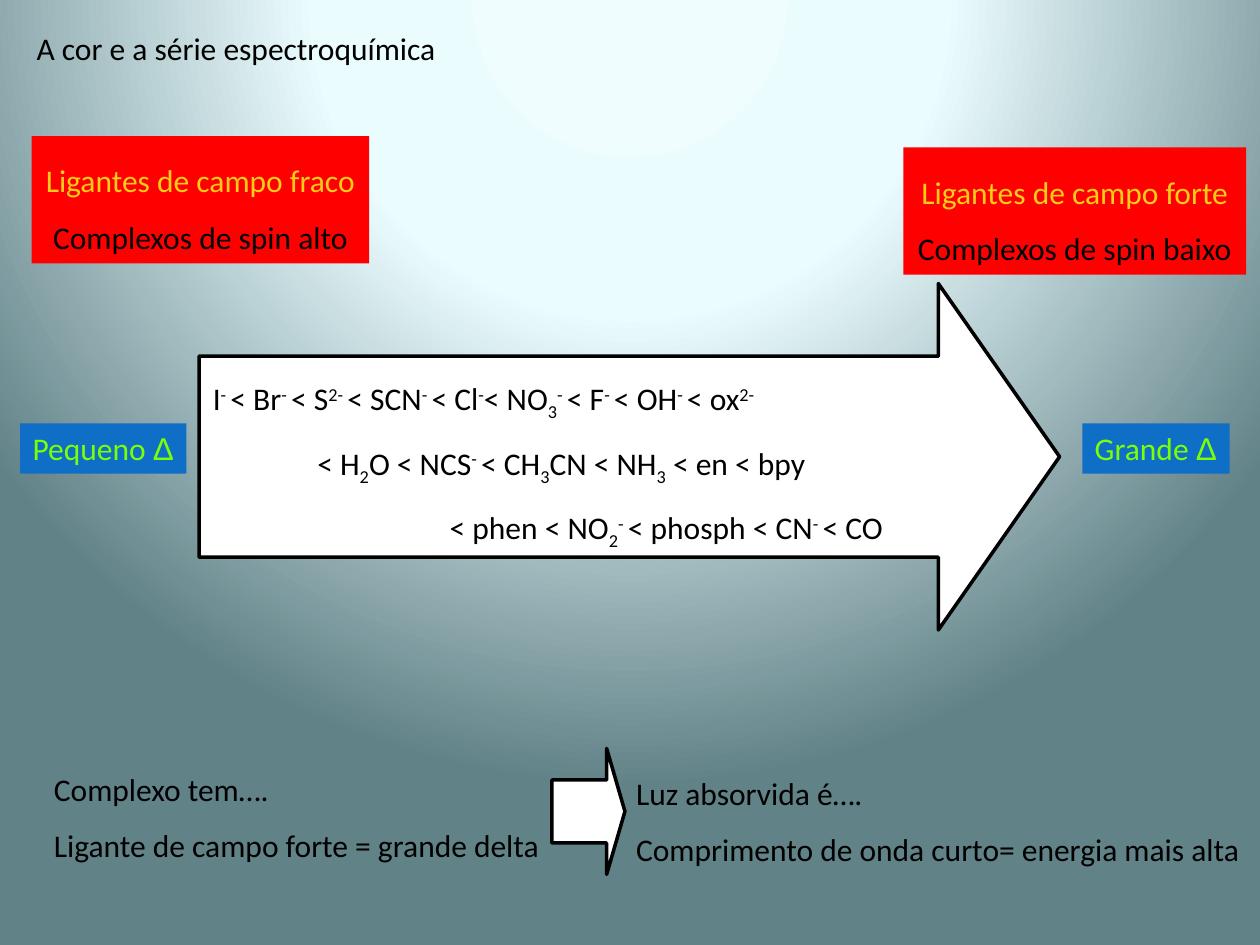
from lxml import etree
from pptx import Presentation
from pptx.dml.color import RGBColor
from pptx.enum.shapes import MSO_SHAPE as Shape
from pptx.enum.text import MSO_ANCHOR as Anchor, MSO_AUTO_SIZE as AutoSize, PP_ALIGN as Align
from pptx.oxml import parse_xml
from pptx.util import Inches, Pt

DRAWING = "http://schemas.openxmlformats.org/drawingml/2006/main"
COLUMNS, ROWS = 100, 75
BASELINES = {"^": "30000", "_": "-25000"}

BLACK, WHITE, RED, BLUE = "000000", "FFFFFF", "FF0000", "0F6FC6"
YELLOW, GREEN = "FFCC18", "7BFF07"

SERIES = [
    (0, "I|^- |< Br|^- |< S|^2- |< SCN|^- |< Cl|^-|< NO|_3|^- |< F|^- |< OH|^- |< ox|^2-"),
    (8.3, "< H|_2|O < NCS|^- |< CH|_3|CN < NH|_3| < en < bpy"),
    (18.8, "< phen < NO|_2|^- |< phosph < CN|^- |< CO"),
]


def color(value):
    return RGBColor.from_string(value)


class SlideBuilder:
    font, size = "Calibri", 18

    def __init__(self, deck):
        self.deck = deck
        self.slide = deck.slides.add_slide(deck.slide_layouts[5])

    def across(self, columns):
        return round(self.deck.slide_width * columns / COLUMNS)

    def down(self, rows):
        return round(self.deck.slide_height * rows / ROWS)

    def place(self, left, top, width, height):
        return self.across(left), self.down(top), self.across(width), self.down(height)

    def background(self, stops):
        fill = self.slide.background.fill
        fill.solid()
        solid = self.slide.element.find(f".//{{{DRAWING}}}solidFill")
        gradient = parse_xml(
            f'<a:gradFill xmlns:a="{DRAWING}" rotWithShape="1"><a:gsLst/>'
            '<a:path path="circle"><a:fillToRect l="50000" t="-80000" r="50000" b="180000"/>'
            "</a:path></a:gradFill>"
        )
        for position, value in stops:
            stop = etree.SubElement(gradient[0], f"{{{DRAWING}}}gs", pos=str(position * 1000))
            etree.SubElement(stop, f"{{{DRAWING}}}srgbClr", val=value)
        solid.getparent().replace(solid, gradient)

    def frame(self, box, wrap=False):
        frame = box.text_frame
        frame.word_wrap = wrap
        frame.auto_size = AutoSize.SHAPE_TO_FIT_TEXT
        frame.vertical_anchor = Anchor.TOP
        return frame

    def paragraph(self, frame, value, spacing=1.0, align=Align.LEFT):
        para = frame.paragraphs[0]
        if para.runs:
            para = frame.add_paragraph()
        para.alignment = align
        para.line_spacing = spacing
        para.font.name = self.font
        para.font.size = Pt(self.size)
        para.font.color.rgb = color(value)
        return para

    def title(self, area, text):
        box = self.slide.shapes.title
        box.left, box.top, box.width, box.height = self.place(*area)
        self.paragraph(self.frame(box), BLACK).add_run().text = text

    def lines(self, area, texts):
        frame = self.frame(self.slide.shapes.add_textbox(*self.place(*area)))
        for text in texts:
            self.paragraph(frame, BLACK, 1.5).add_run().text = text

    def shape(self, kind, area, fill):
        box = self.slide.shapes.add_shape(kind, *self.place(*area))
        box.shadow.inherit = False
        box.fill.solid()
        box.fill.fore_color.rgb = color(fill)
        box.line.fill.background()
        return box

    def arrow(self, area, shaft, head):
        box = self.shape(Shape.RIGHT_ARROW, area, WHITE)
        box.adjustments[0], box.adjustments[1] = shaft, head
        box.line.color.rgb = color(BLACK)
        box.line.width = Pt(2)

    def field_box(self, area, field, spin):
        frame = self.frame(self.shape(Shape.RECTANGLE, area, RED))
        for text, value in ((field, YELLOW), (spin, BLACK)):
            self.paragraph(frame, value, 1.5, Align.CENTER).add_run().text = text

    def delta_label(self, area, word):
        frame = self.frame(self.shape(Shape.RECTANGLE, area, BLUE))
        para = self.paragraph(frame, GREEN)
        para.add_run().text = f"{word} "
        delta = para.add_run()
        delta.text = "Δ"
        delta.font.name = "Arial"

    def formulas(self, area, rows):
        frame = self.frame(self.slide.shapes.add_textbox(*self.place(*area)), wrap=True)
        for indent, formula in rows:
            para = self.paragraph(frame, BLACK, 1.5)
            para._p.get_or_add_pPr().set("marL", str(self.across(indent)))
            for part in formula.split("|"):
                span = para.add_run()
                span.text = part.lstrip("^_")
                if part[0] in BASELINES:
                    span._r.get_or_add_rPr().set("baseline", BASELINES[part[0]])


def main():
    deck = Presentation()
    deck.slide_width, deck.slide_height = Inches(10), Inches(7.5)
    page = SlideBuilder(deck)
    page.background([(0, "EFFDFF"), (40, "EBFCFF"), (100, "618287")])
    page.title((1.9, 1.8, 34.1, 4), "A cor e a série espectroquímica")
    page.lines((3.3, 59.1, 41, 10.1),
               ["Complexo tem….", "Ligante de campo forte = grande delta"])
    page.lines((49.5, 59.4, 50.5, 10.1),
               ["Luz absorvida é….", "Comprimento de onda curto= energia mais alta"])
    page.arrow((43.8, 59.4, 5.8, 10), 0.5, 0.25)
    page.field_box((2.5, 10.8, 26.8, 10.1), "Ligantes de campo fraco", "Complexos de spin alto")
    page.field_box((71.7, 11.7, 27.2, 10.1), "Ligantes de campo forte", "Complexos de spin baixo")
    page.arrow((15.8, 22.5, 68.3, 27.5), 0.58, 0.35)
    page.formulas((15.9, 27.9, 60.8, 14.5), SERIES)
    page.delta_label((1.6, 33.6, 13.2, 4), "Pequeno")
    page.delta_label((85.9, 33.6, 11.7, 4), "Grande")
    deck.save("out.pptx")


if __name__ == "__main__":
    main()
